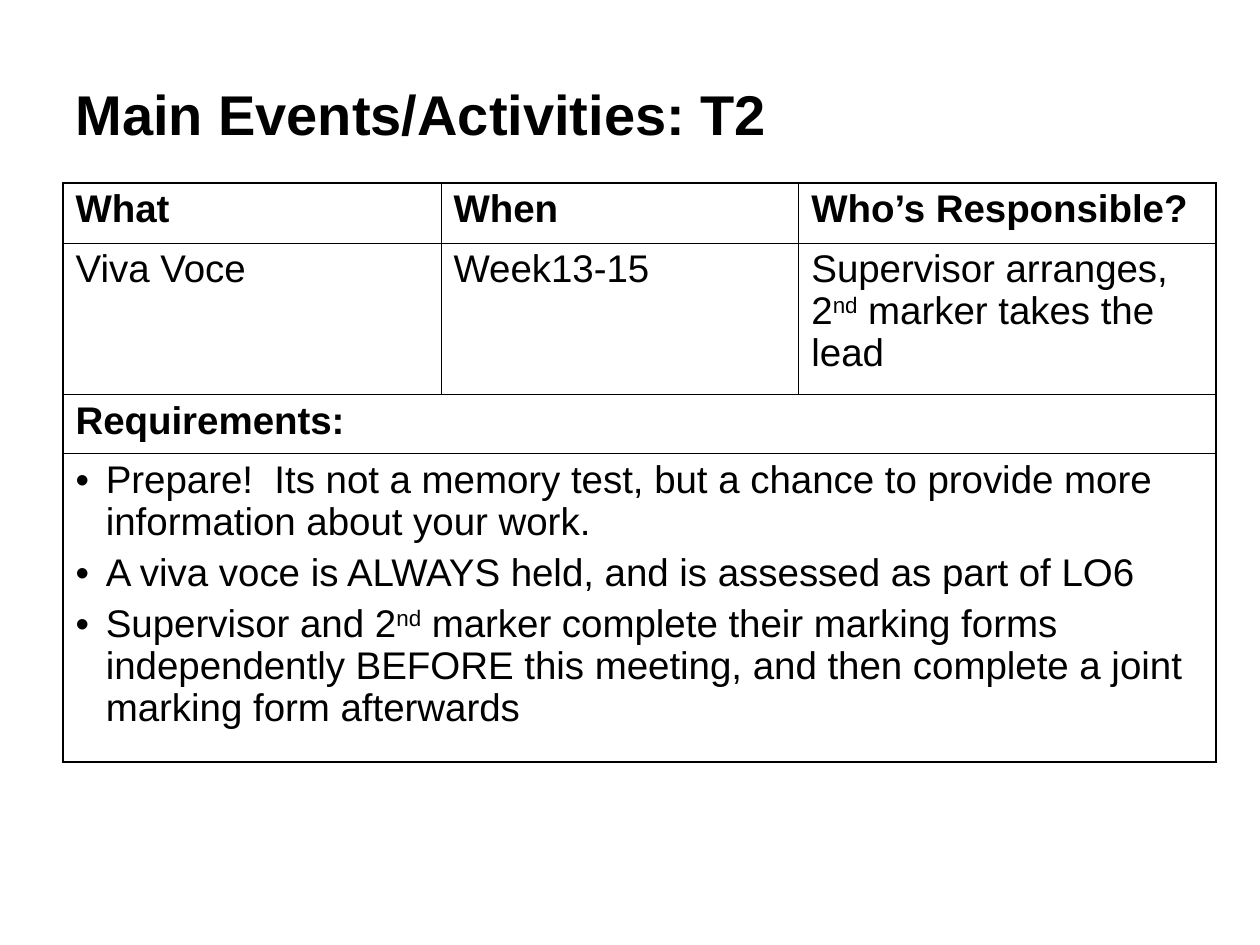
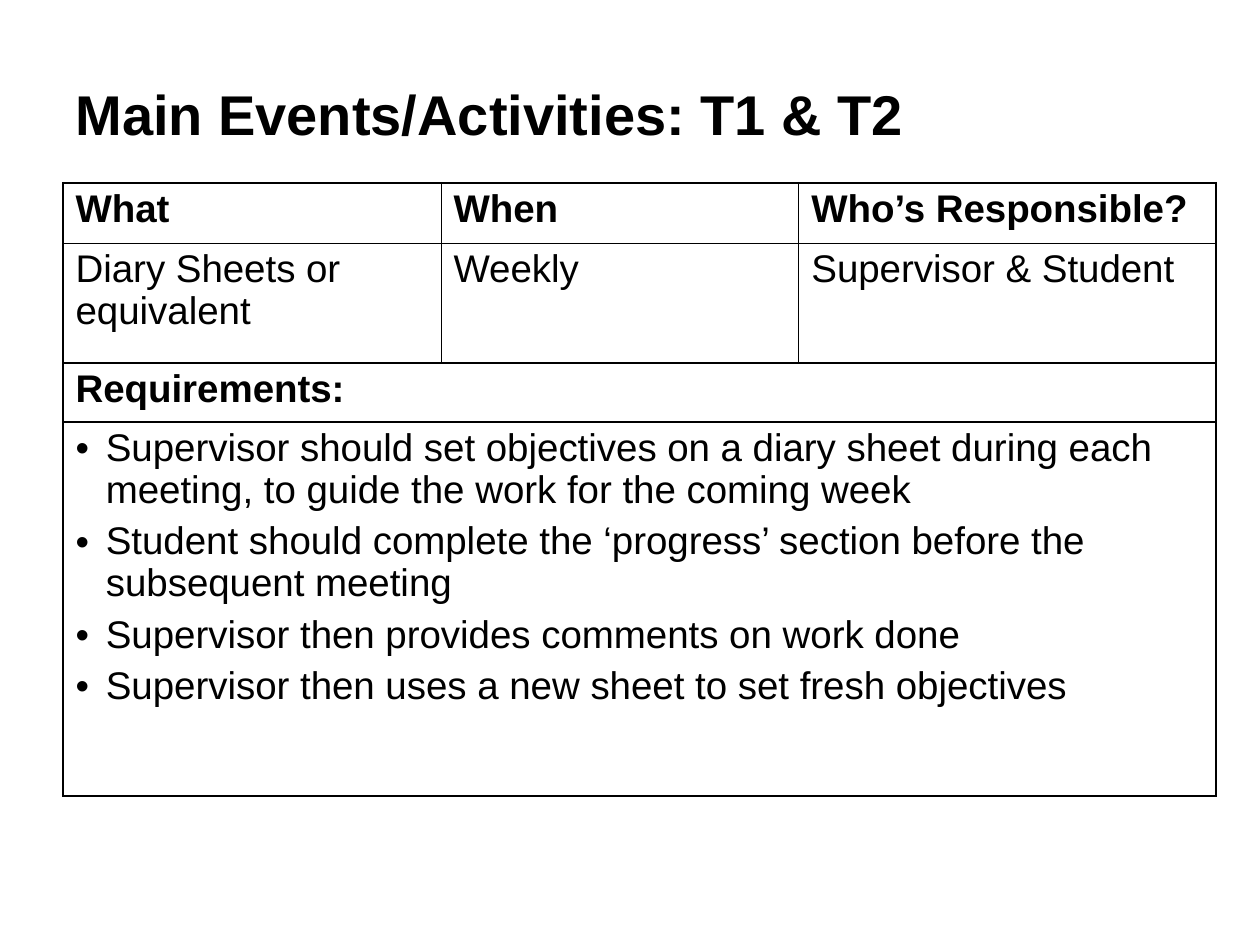
from dataclasses import dataclass

from lxml import etree
from pptx import Presentation
from pptx.dml.color import RGBColor
from pptx.enum.text import MSO_ANCHOR
from pptx.oxml.ns import qn
from pptx.util import Inches, Pt

MIDDLE = MSO_ANCHOR.MIDDLE


@dataclass(frozen=True)
class Theme:
    """Fonts, colours, sizes and line widths shared by the slides."""
    font: str = "Arial"
    ink: str = "000000"
    title: float = 32
    body: float = 22
    gap: float = 5.5
    pitch: float = 0.97
    thick: float = 1.08
    thin: float = 0.45


THEME = Theme()
TITLE_BOX = (0.5, 0.52, 9, 0.76)
TABLE_BOX = (0.5, 1.45)
COLS = (3, 2.84, 3.31)
INDENT = 0.24
HEADS = ("What", "When", "Who’s Responsible?")

EVENTS = (
    {
        "title": "Main Events/Activities: T2",
        "facts": ("Viva Voce", "Week13-15",
                  "Supervisor arranges, 2^nd^ marker takes the lead"),
        "needs": (
            "Prepare!  Its not a memory test, but a chance to provide more "
            "information about your work.",
            "A viva voce is ALWAYS held, and is assessed as part of LO6",
            "Supervisor and 2^nd^ marker complete their marking forms "
            "independently BEFORE this meeting, and then complete a joint "
            "marking form afterwards",
        ),
        "rows": (0.48, 1.2, 0.47, 2.45),
    },
    {
        "title": "Main Events/Activities: T1 & T2",
        "facts": ("Diary Sheets or equivalent", "Weekly",
                  "Supervisor & Student"),
        "needs": (
            "Supervisor should set objectives on a diary sheet during each "
            "meeting, to guide the work for the coming week",
            "Student should complete the ‘progress’ section before the "
            "subsequent meeting",
            "Supervisor then provides comments on work done",
            "Supervisor then uses a new sheet to set fresh objectives",
        ),
        "rows": (0.48, 0.95, 0.47, 2.97),
    },
)


def add_bullet(para):
    """Give a paragraph a hanging round bullet."""
    props = para._p.get_or_add_pPr()
    props.set("marL", str(Inches(INDENT)))
    props.set("indent", str(-Inches(INDENT)))
    etree.SubElement(props, qn("a:buFont"), typeface=THEME.font)
    etree.SubElement(props, qn("a:buChar"), char="•")


def write(frame, *lines, size=THEME.body, bold=False, bullet=False,
          gap=THEME.gap, pitch=THEME.pitch):
    """Write one paragraph per line, raising the parts between carets."""
    frame.word_wrap = True
    for i, line in enumerate(lines):
        para = frame.add_paragraph() if i else frame.paragraphs[0]
        para.space_before = Pt(gap)
        para.line_spacing = pitch
        if bullet:
            add_bullet(para)
        for j, part in enumerate(line.split("^")):
            run = para.add_run()
            run.text = part
            run.font.name = THEME.font
            run.font.size = Pt(size)
            run.font.bold = bold
            run.font.color.rgb = RGBColor.from_string(THEME.ink)
            if j % 2:
                run._r.get_or_add_rPr().set("baseline", "30000")


def set_edges(cell, **widths):
    """Draw the cell's edges, named L, R, T and B, at widths in points."""
    props = cell._tc.get_or_add_tcPr()
    for side, width in widths.items():
        line = etree.SubElement(props, qn(f"a:ln{side}"), w=str(Pt(width)))
        fill = etree.SubElement(line, qn("a:solidFill"))
        etree.SubElement(fill, qn("a:srgbClr"), val=THEME.ink)


def add_title(slide, box, text):
    """Place the bold slide title in its box."""
    frame = slide.shapes.add_textbox(*map(Inches, box)).text_frame
    frame.vertical_anchor = MIDDLE
    write(frame, text, size=THEME.title, bold=True, gap=0, pitch=1)


def style_cells(table):
    """Rule the table: thin lines within the top two rows, thick elsewhere."""
    last = len(COLS) - 1
    for r, row in enumerate(table.rows):
        for c, cell in enumerate(row.cells):
            top = r < 2
            set_edges(
                cell,
                L=THEME.thin if top and c > 0 else THEME.thick,
                R=THEME.thin if top and c < last else THEME.thick,
                T=THEME.thin if r == 1 else THEME.thick,
                B=THEME.thin if r == 0 else THEME.thick,
            )
            cell.fill.background()


def add_event(slide, box, event):
    """Place the event table with its facts and requirements."""
    rows = event["rows"]
    size = (sum(COLS), sum(rows))
    table = slide.shapes.add_table(
        len(rows), len(COLS), *map(Inches, box + size)).table
    table.first_row = table.horz_banding = False
    for col, width in zip(table.columns, COLS):
        col.width = Inches(width)
    for row, height in zip(table.rows, rows):
        row.height = Inches(height)
    style_cells(table)
    for c, (head, fact) in enumerate(zip(HEADS, event["facts"])):
        write(table.cell(0, c).text_frame, head, bold=True)
        write(table.cell(1, c).text_frame, fact)
    for r in (2, 3):
        table.cell(r, 0).merge(table.cell(r, len(COLS) - 1))
    write(table.cell(2, 0).text_frame, "Requirements:", bold=True)
    write(table.cell(3, 0).text_frame, *event["needs"], bullet=True)


def main():
    """Build one slide per event and save the deck."""
    deck = Presentation()
    deck.slide_width, deck.slide_height = Inches(10), Inches(7.5)
    for event in EVENTS:
        slide = deck.slides.add_slide(deck.slide_layouts[6])
        add_title(slide, TITLE_BOX, event["title"])
        add_event(slide, TABLE_BOX, event)
    deck.save("out.pptx")


if __name__ == "__main__":
    main()
